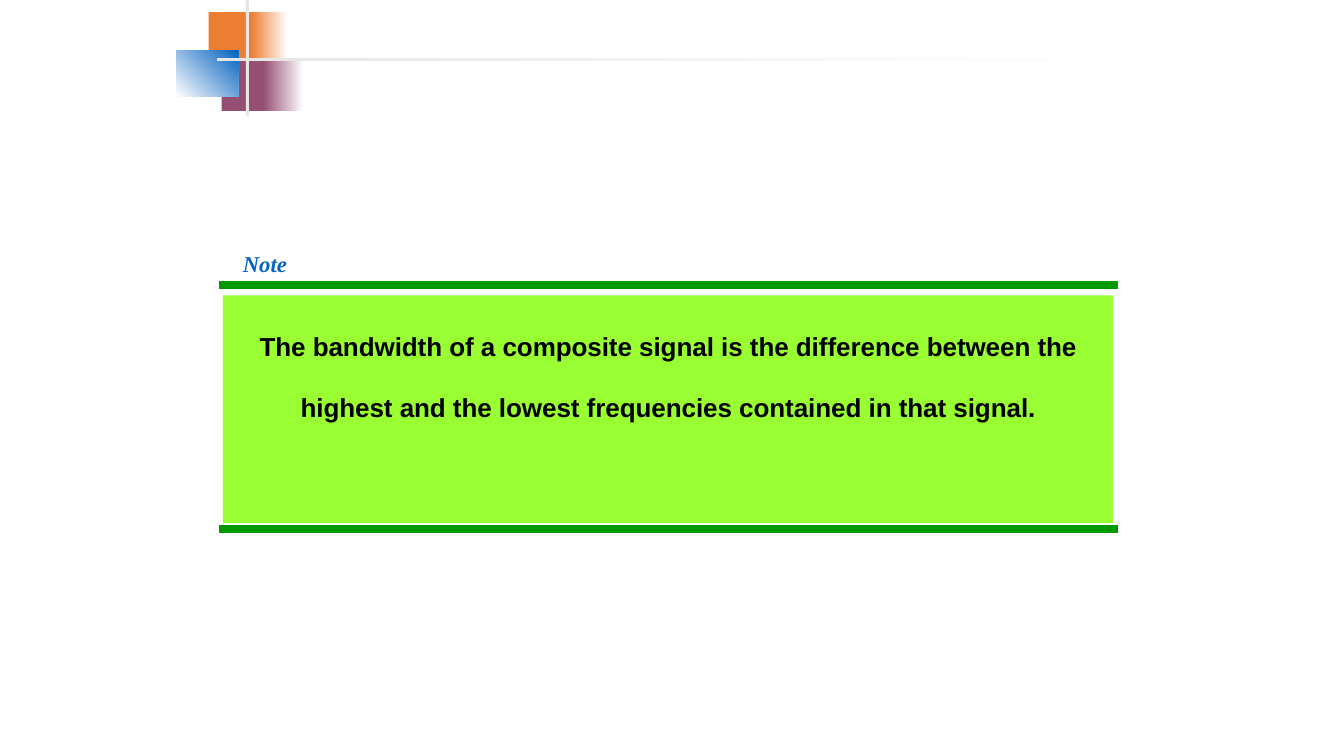
from pptx import Presentation
from pptx import util as u
from pptx.dml.color import RGBColor
from pptx.enum import shapes, text
from pptx.oxml.ns import qn
from lxml import etree

ORANGE, PLUM, BLUE = "ED7D31", "954F72", "0563C1"
GREY, WHITE, BLACK = "E7E6E6", "FFFFFF", "000000"
GREEN, LIME = "009900", "99FF33"


def rgb(code):
    return RGBColor.from_string(code)


class Board:
    """Draws on one slide; lengths are percent of its width and height."""

    def __init__(self, deck):
        self.wide, self.high = deck.slide_width, deck.slide_height
        self.items = deck.slides.add_slide(deck.slide_layouts[6]).shapes

    def place(self, *spots):
        """Turn x, y, x, y percents into slide lengths."""
        sides = (self.wide, self.high) * 2
        return [u.Emu(round(p * s / 100)) for p, s in zip(spots, sides)]

    def rect(self, spots, *tones, angle=0):
        """Add a borderless box: one tone is solid, two make a gradient."""
        box = self.items.add_shape(shapes.MSO_SHAPE.RECTANGLE, *self.place(*spots))
        box.shadow.inherit = False
        box.line.fill.background()
        if len(tones) == 1:
            box.fill.solid()
            box.fill.fore_color.rgb = rgb(tones[0])
        else:
            box.fill.gradient()
            box.fill.gradient_angle = angle
            for spot, (stop, tone) in enumerate(zip(box.fill.gradient_stops, tones)):
                stop.position = spot
                stop.color.rgb = rgb(tone)
        return box

    def rule(self, left, right, row):
        start, top, end, base = self.place(left, row, right, row)
        line = self.items.add_connector(
            shapes.MSO_CONNECTOR.STRAIGHT, start, top, end, base)
        line.line.color.rgb = rgb(GREEN)
        line.line.width = u.Pt(6)
        etree.SubElement(line._element.spPr, qn("a:effectLst"))

    def label(self, spots):
        return self.items.add_textbox(*self.place(*spots))

    def letter(self, box, lines, face, size, tone, align, wrap=True, slant=False):
        """Fill a box with bold subscript lines."""
        frame = box.text_frame
        frame.word_wrap = wrap
        frame.vertical_anchor = text.MSO_ANCHOR.TOP
        for i, words in enumerate(lines):
            para = frame.add_paragraph() if i else frame.paragraphs[0]
            para.alignment = align
            run = para.add_run()
            run.text = words
            font = run.font
            font.name, font.size = face, u.Pt(size)
            font.bold, font.italic = True, slant
            font.color.rgb = rgb(tone)
            run._r.get_or_add_rPr().set("baseline", "-25000")


def main():
    deck = Presentation()
    deck.slide_width, deck.slide_height = u.Inches(13.33), u.Inches(7.5)
    board = Board(deck)

    tiles = [
        (ORANGE, 1.6, (15.53, 3.6), (18.68, 2.7)),
        (PLUM, 7.73, (16.5, 3.45), (19.58, 3)),
    ]
    for tone, top, (left, width), (edge, fade) in tiles:
        board.rect((left, top, width, 6.93), tone)
        board.rect((edge, top, fade, 6.93), tone, WHITE)
    board.rect((13.13, 6.67, 4.58, 6.13), WHITE, BLUE, angle=45)
    board.rect((18.3, 0, 0.23, 15.33), GREY)
    board.rect((16.13, 7.73, 67.52, 0.4), GREY, WHITE)

    for row in (37.73, 70):
        board.rule(16.28, 83.15, row)

    fact = board.rect((16.58, 39.07, 66.24, 30.13), LIME)
    board.letter(fact, [
        "The bandwidth of a composite signal is the difference between the",
        "highest and the lowest frequencies contained in that signal.",
    ], "Arial", 32, BLACK, text.PP_ALIGN.CENTER)

    note = board.label((17.33, 28.93, 7.2, 7.6))
    board.letter(note, ["Note"], "Times New Roman", 28, BLUE,
                 text.PP_ALIGN.LEFT, wrap=False, slant=True)

    deck.save("out.pptx")


if __name__ == "__main__":
    main()
